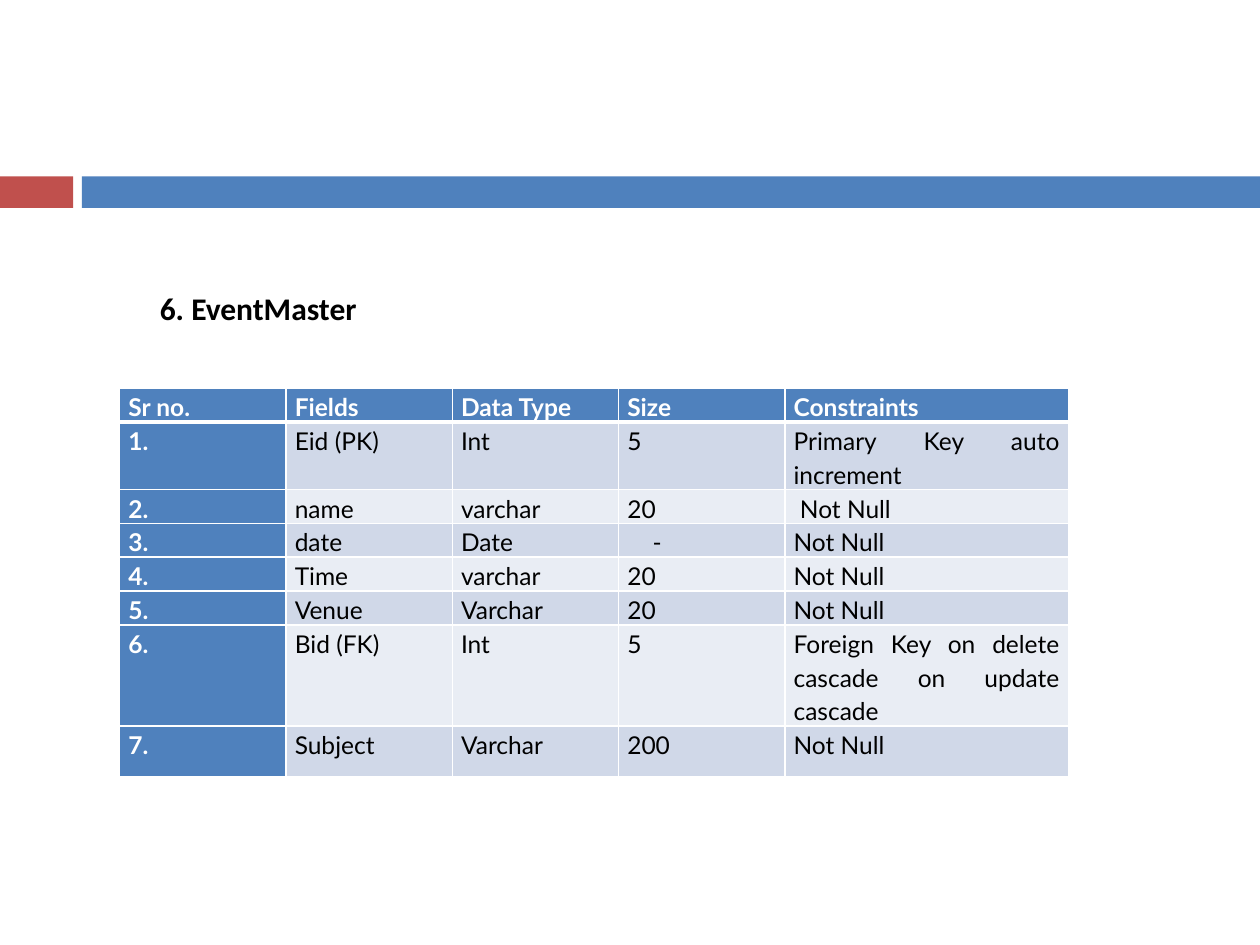
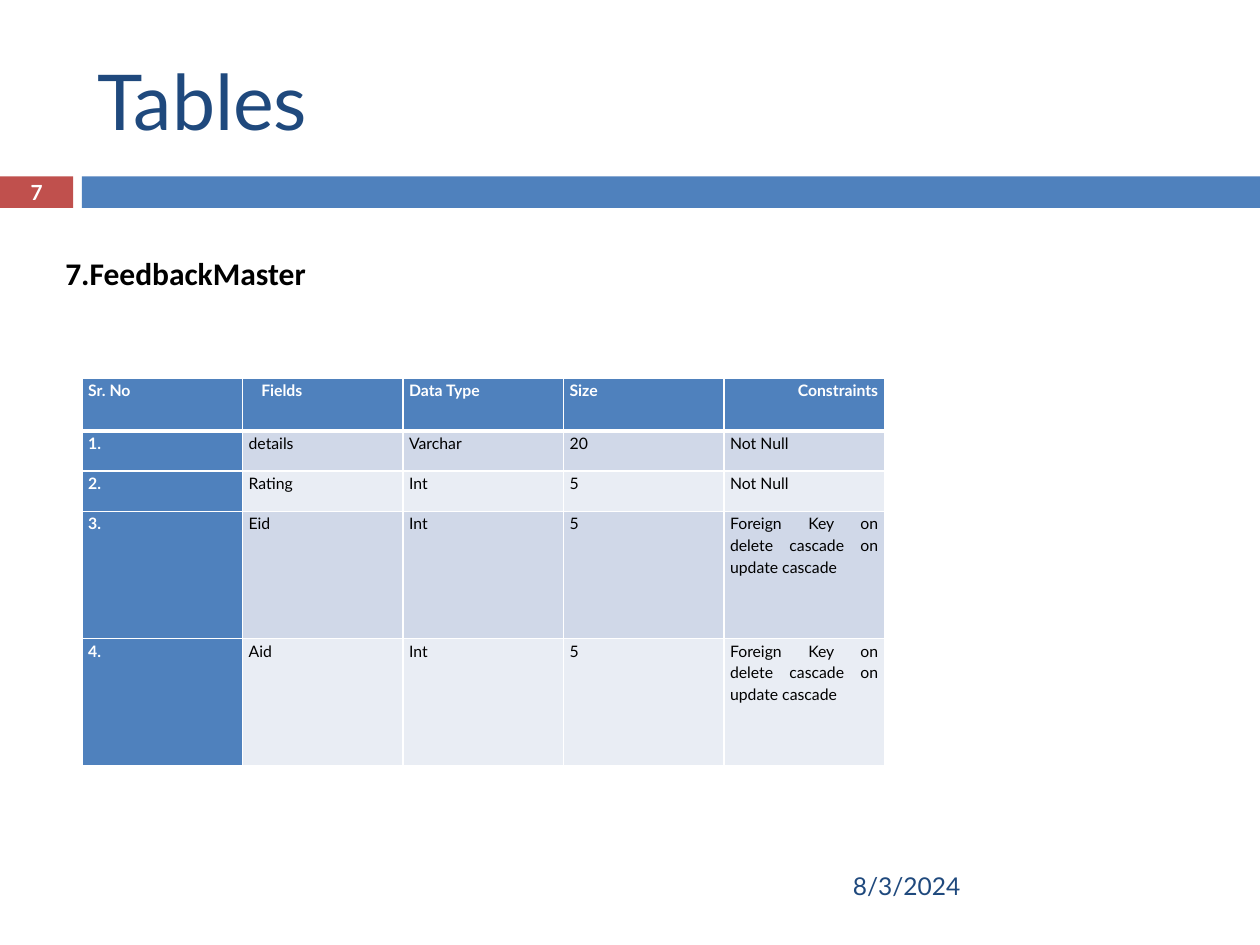
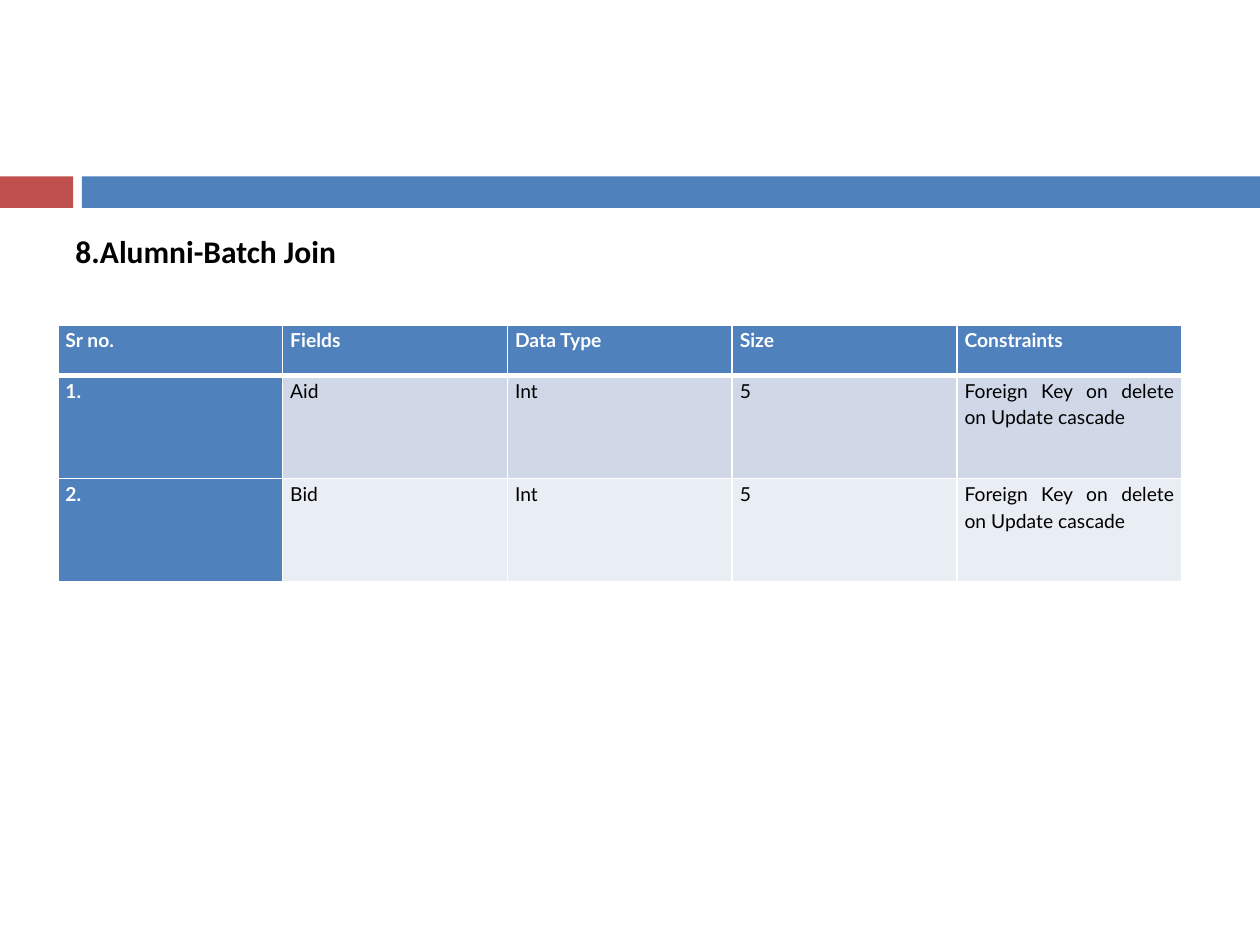
"""Build three slides that describe database tables."""
from dataclasses import dataclass

from lxml import etree
from pptx import Presentation
from pptx.dml.color import RGBColor
from pptx.enum.shapes import MSO_SHAPE
from pptx.enum.text import MSO_ANCHOR, MSO_AUTO_SIZE, PP_ALIGN
from pptx.oxml.ns import qn
from pptx.util import Inches, Pt

RECTANGLE = MSO_SHAPE.RECTANGLE
MIDDLE = MSO_ANCHOR.MIDDLE
NO_AUTOFIT = MSO_AUTO_SIZE.NONE
FIT_SHAPE = MSO_AUTO_SIZE.SHAPE_TO_FIT_TEXT
LEFT, CENTER, RIGHT = PP_ALIGN.LEFT, PP_ALIGN.CENTER, PP_ALIGN.RIGHT
JUSTIFY = PP_ALIGN.JUSTIFY
TITLE_ONLY, BLANK = 5, 6


@dataclass(frozen=True)
class Theme:
    """Colours, fonts and type sizes of the slides."""
    blue: str = "4F81BD"
    red: str = "C0504D"
    navy: str = "1F497D"
    white: str = "FFFFFF"
    black: str = "000000"
    stripes: tuple = ("D0D8E8", "E9EDF4")
    body_font: str = "Lato"
    heading_font: str = "Calibri"
    title_size: float = 44
    heading_size: float = 18
    date_size: float = 14
    number_size: float = 11.9
    line_spacing: float = 1.15
    thin_border: float = 1
    header_border: float = 3


class Deck:
    """Holds the theme and the current slide."""

    def __init__(self, theme):
        """Start a presentation of 10 by 7.5 inches."""
        self.theme = theme
        self.presentation = Presentation()
        self.presentation.slide_width = Inches(10)
        self.presentation.slide_height = Inches(7.5)
        self.slide = None

    def add_slide(self, layout=BLANK):
        """Add a slide with its bands and without footer placeholders."""
        layouts = self.presentation.slide_layouts
        self.slide = self.presentation.slides.add_slide(layouts[layout])
        self.band(0, 0.58, self.theme.red)
        self.band(0.65, 9.35, self.theme.blue)

    def band(self, left, width, color):
        """Draw one part of the band under the title."""
        shape = self.slide.shapes.add_shape(
            RECTANGLE, Inches(left), Inches(1.4), Inches(width), Inches(0.25))
        shape.shadow.inherit = False
        shape.fill.solid()
        shape.fill.fore_color.rgb = RGBColor.from_string(color)
        shape.line.fill.background()

    def style(self, paragraph, size, color, bold=False, font=None, align=LEFT):
        """Format a whole paragraph."""
        paragraph.alignment = align
        paragraph.font.name = font or self.theme.body_font
        paragraph.font.size = Pt(size)
        paragraph.font.bold = bold
        paragraph.font.color.rgb = RGBColor.from_string(color)

    def title(self, text):
        """Fill and place the title placeholder."""
        shape = self.slide.shapes.title
        shape.left, shape.top = Inches(0.67), Inches(0.25)
        shape.width, shape.height = Inches(8.92), Inches(1.08)
        frame = shape.text_frame
        frame.text = text
        frame.auto_size = NO_AUTOFIT
        frame.vertical_anchor = MIDDLE
        self.style(frame.paragraphs[0], self.theme.title_size, self.theme.navy)

    def text(self, text, left, top, width, height):
        """Add a wrapping text box and return its frame."""
        shape = self.slide.shapes.add_textbox(
            Inches(left), Inches(top), Inches(width), Inches(height))
        frame = shape.text_frame
        frame.word_wrap = True
        frame.text = text
        return frame

    def heading(self, text, left, top):
        """Name the database table."""
        frame = self.text(text, left, top, 5, 0.43)
        frame.auto_size = FIT_SHAPE
        paragraph = frame.paragraphs[0]
        self.style(paragraph, self.theme.heading_size, self.theme.black,
                   True, self.theme.heading_font, JUSTIFY)
        paragraph.line_spacing = self.theme.line_spacing
        paragraph.space_after = Pt(8)

    def date(self, text):
        """Add the date at the foot of the slide."""
        frame = self.text(text, 6.67, 6.83, 2.92, 0.4)
        frame.vertical_anchor = MIDDLE
        self.style(frame.paragraphs[0], self.theme.date_size, self.theme.navy)

    def number(self, text):
        """Add the slide number on the red band."""
        frame = self.text(text, 0, 1.39, 0.58, 0.27)
        frame.vertical_anchor = MIDDLE
        self.style(frame.paragraphs[0], self.theme.number_size,
                   self.theme.white, True, align=CENTER)

    def borders(self, cell, row):
        """Draw white cell borders, thick below the header row."""
        thin, thick = self.theme.thin_border, self.theme.header_border
        widths = {"a:lnL": thin, "a:lnR": thin,
                  "a:lnT": thick if row == 1 else thin,
                  "a:lnB": thick if row == 0 else thin}
        properties = cell._tc.get_or_add_tcPr()
        for tag, width in widths.items():
            line = etree.SubElement(properties, qn(tag), w=str(Pt(width)))
            fill = etree.SubElement(line, qn("a:solidFill"))
            etree.SubElement(fill, qn("a:srgbClr"), val=self.theme.white)

    def cell(self, cell, text, row, column, size, inset):
        """Fill and format one table cell."""
        is_header = row == 0 or column == 0
        cell.margin_left = cell.margin_right = Inches(inset)
        cell.margin_top = cell.margin_bottom = 0
        self.borders(cell, row)
        cell.fill.solid()
        cell.fill.fore_color.rgb = RGBColor.from_string(
            self.theme.blue if is_header else self.theme.stripes[(row - 1) % 2])
        cell.text = text
        paragraph = cell.text_frame.paragraphs[0]
        self.style(paragraph, size,
                   self.theme.white if is_header else self.theme.black,
                   is_header, align=JUSTIFY)
        paragraph.line_spacing = self.theme.line_spacing

    def table(self, rows, left, top, columns, heights, size, inset):
        """Add a table of field definitions and return it."""
        table = self.slide.shapes.add_table(
            len(rows), len(columns), Inches(left), Inches(top),
            Inches(sum(columns)), Inches(sum(heights))).table
        for column, width in zip(table.columns, columns):
            column.width = Inches(width)
        for row, height in zip(table.rows, heights):
            row.height = Inches(height)
        for row, texts in enumerate(rows):
            for column, text in enumerate(texts):
                self.cell(table.cell(row, column), text, row, column, size, inset)
        return table

    def indent(self, cell, distance):
        """Indent the text of a cell."""
        properties = cell.text_frame.paragraphs[0]._p.get_or_add_pPr()
        properties.set("marL", str(Inches(distance)))


HEADER = ("Sr no.", "Fields", "Data Type", "Size", "Constraints")
FULL_CASCADE = "Foreign Key on delete cascade on update cascade"
UPDATE_CASCADE = "Foreign Key on delete on Update cascade"

EVENT_ROWS = [
    HEADER,
    ("1.", "Eid (PK)", "Int", "5", "Primary Key auto increment"),
    ("2.", "name", "varchar", "20", " Not Null"),
    ("3.", "date", "Date", "-", "Not Null"),
    ("4.", "Time", "varchar", "20", "Not Null"),
    ("5.", "Venue", "Varchar", "20", "Not Null"),
    ("6.", "Bid (FK)", "Int", "5", FULL_CASCADE),
    ("7.", "Subject", "Varchar", "200", "Not Null"),
]
FEEDBACK_ROWS = [
    ("Sr. No",) + HEADER[1:],
    ("1.", "details", "Varchar", "20", "Not Null"),
    ("2.", "Rating", "Int", "5", "Not Null"),
    ("3.", "Eid", "Int", "5", FULL_CASCADE),
    ("4.", "Aid", "Int", "5", FULL_CASCADE),
]
JOIN_ROWS = [
    HEADER,
    ("1.", "Aid", "Int", "5", UPDATE_CASCADE),
    ("2.", "Bid", "Int", "5", UPDATE_CASCADE),
]


def event_slide(deck):
    """Describe the event table."""
    deck.add_slide()
    deck.heading("6. EventMaster", 1.17, 2.2)
    table = deck.table(EVENT_ROWS, 0.95, 3.08, [1.32] * 4 + [2.25],
                       [0.17, 0.34] + [0.17] * 4 + [0.52, 0.4], 14, 0.07)
    deck.indent(table.cell(3, 3), 0.2)


def feedback_slide(deck):
    """Describe the feedback table."""
    deck.add_slide(TITLE_ONLY)
    deck.title("Tables")
    deck.date("8/3/2024")
    deck.number("7")
    table = deck.table(FEEDBACK_ROWS, 0.65, 3, [6.37 / 5] * 5,
                       [0.42, 0.32, 0.32, 1.01, 1.01], 9, 0.05)
    deck.indent(table.cell(0, 1), 0.1)
    table.cell(0, 4).text_frame.paragraphs[0].alignment = RIGHT
    deck.heading("7.FeedbackMaster", 0.42, 1.92)


def join_slide(deck):
    """Describe the table that joins alumni and batches."""
    deck.add_slide()
    deck.heading("8.Alumni-Batch Join", 0.5, 1.75)
    deck.table(JOIN_ROWS, 0.46, 2.58, [8.92 / 5] * 5, [0.4, 0.82, 0.82], 11, 0.06)


def main():
    """Build and save the presentation."""
    deck = Deck(Theme())
    event_slide(deck)
    feedback_slide(deck)
    join_slide(deck)
    deck.presentation.save("out.pptx")


if __name__ == "__main__":
    main()
